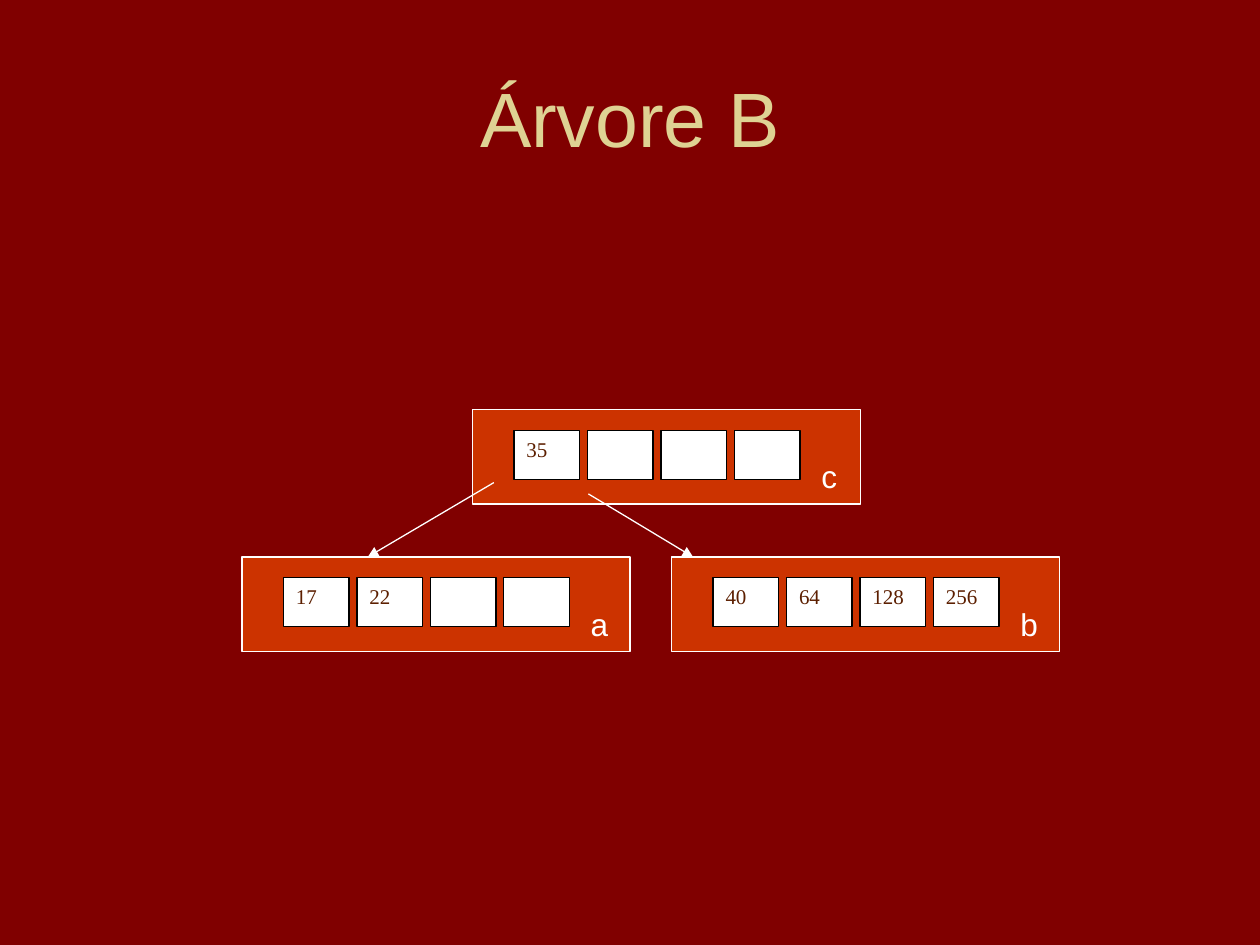
from lxml.etree import SubElement
from pptx import Presentation
from pptx.dml.color import RGBColor
from pptx.enum.shapes import MSO_CONNECTOR, MSO_SHAPE
from pptx.enum.text import MSO_ANCHOR, MSO_AUTO_SIZE, PP_ALIGN
from pptx.oxml.ns import qn
from pptx.util import Inches, Pt

TITLE = "Árvore B"
NODES = [
    ("a", 1.92, 4.42, ["17", "22", "", ""]),
    ("b", 5.33, 4.42, ["40", "64", "128", "256"]),
    ("c", 3.75, 3.25, ["35", "", "", ""]),
]
POINTERS = [((3.92, 3.83), (2.92, 4.42)), ((4.67, 3.92), (5.5, 4.42))]

NODE_SIZE = (3.08, 0.75)
KEY_SIZE = (0.52, 0.39)
KEY_OFFSET = (0.33, 0.165)
KEY_PITCH = 0.583
LABEL_OFFSET = (2.67, 0.33)


def color(value):
    return RGBColor.from_string(value)


def add_text(frame, text, size, font, ink, align=PP_ALIGN.LEFT):
    paragraph = frame.paragraphs[0]
    paragraph.alignment = align
    run = paragraph.add_run()
    run.text = text
    run.font.size = Pt(size)
    run.font.name = font
    run.font.color.rgb = color(ink)


def add_box(slide, left, top, size, fill, line):
    box = slide.shapes.add_shape(
        MSO_SHAPE.RECTANGLE, Inches(left), Inches(top), *map(Inches, size))
    box.shadow.inherit = False
    box.fill.solid()
    box.fill.fore_color.rgb = color(fill)
    box.line.color.rgb = color(line)
    box.line.width = Pt(0.75)
    return box


def add_node(slide, name, left, top, keys):
    add_box(slide, left, top, NODE_SIZE, "CC3300", "FFFFFF")
    for index, key in enumerate(keys):
        cell = add_box(slide, left + KEY_OFFSET[0] + index * KEY_PITCH,
                       top + KEY_OFFSET[1], KEY_SIZE, "FFFFFF", "000000")
        cell.text_frame.vertical_anchor = MSO_ANCHOR.TOP
        if key:
            add_text(cell.text_frame, key, 12, "Times New Roman", "5C1F00")
    label = slide.shapes.add_textbox(
        Inches(left + LABEL_OFFSET[0]), Inches(top + LABEL_OFFSET[1]),
        Inches(0.32 if name == "c" else 0.34), Inches(0.4)).text_frame
    label.word_wrap = False
    label.auto_size = MSO_AUTO_SIZE.SHAPE_TO_FIT_TEXT
    add_text(label, name, 18, "Arial", "FFFFFF")


def add_pointer(slide, start, end):
    pointer = slide.shapes.add_connector(
        MSO_CONNECTOR.STRAIGHT, *map(Inches, start + end))
    pointer.line.color.rgb = color("FFFFFF")
    pointer.line.width = Pt(0.75)
    SubElement(pointer.line._get_or_add_ln(), qn("a:tailEnd"), type="triangle")
    SubElement(pointer._element.spPr, qn("a:effectLst"))


def main():
    deck = Presentation()
    deck.slide_width, deck.slide_height = Inches(10), Inches(7.5)
    slide = deck.slides.add_slide(deck.slide_layouts[6])
    slide.background.fill.solid()
    slide.background.fill.fore_color.rgb = color("800000")

    title = slide.shapes.add_textbox(
        Inches(0.5), Inches(0.3), Inches(9), Inches(1.25)).text_frame
    title.word_wrap = True
    title.vertical_anchor = MSO_ANCHOR.MIDDLE
    add_text(title, TITLE, 44, "Arial", "DFD293", PP_ALIGN.CENTER)

    for node in NODES:
        add_node(slide, *node)
    for start, end in POINTERS:
        add_pointer(slide, start, end)

    deck.save("out.pptx")


if __name__ == "__main__":
    main()
